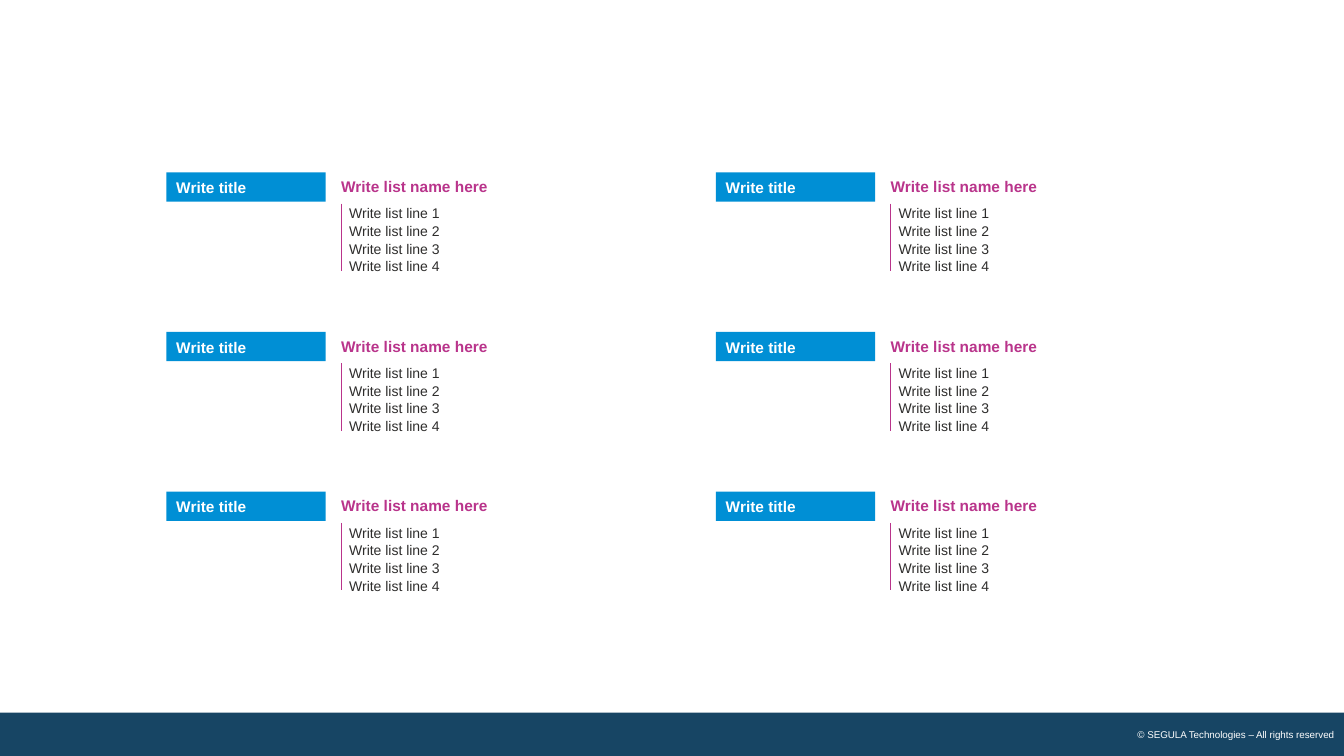
from itertools import product
from lxml.etree import SubElement
from pptx import Presentation
from pptx.dml.color import RGBColor
from pptx.enum.shapes import MSO_CONNECTOR as CONN, MSO_SHAPE as SHAPE
from pptx.enum.text import MSO_ANCHOR as ANCHOR, PP_ALIGN as ALIGN
from pptx.oxml.ns import qn
from pptx.util import Inches, Pt

WIDTH, HEIGHT = 13.33, 7.5
GRID_LEFT, GRID_TOP, GRID_WIDTH, GRID_HEIGHT = 1.65, 1.71, 10.9, 4.75
COLUMNS, ROWS = 2, 3
LINE_SPACING = 1.05
LIST_LINES = [f"Write list line {n}" for n in range(1, 5)]

WHITE = RGBColor(0xFF, 0xFF, 0xFF)
NAVY = RGBColor(0x17, 0x45, 0x64)
BLUE = RGBColor(0x00, 0x8F, 0xD5)
MAGENTA = RGBColor(0xB9, 0x34, 0x8B)
DARK = RGBColor(0x2E, 0x2D, 0x2C)


def add_run(p, text, size, color, bold=False):
    """Add one formatted run to a paragraph."""
    r = p.add_run()
    r.text = text
    r.font.name = "Arial"
    r.font.size = Pt(size)
    r.font.bold = bold
    r.font.color.rgb = color


def add_rect(slide, x, y, w, h, color):
    """Add a plain filled rectangle."""
    sp = slide.shapes.add_shape(SHAPE.RECTANGLE, Inches(x), Inches(y), Inches(w), Inches(h))
    sp.shadow.inherit = False
    sp.fill.solid()
    sp.fill.fore_color.rgb = color
    sp.line.fill.background()
    return sp


def add_text_frame(slide, x, y, w, h):
    """Add a wrapping text box and return its frame."""
    tf = slide.shapes.add_textbox(Inches(x), Inches(y), Inches(w), Inches(h)).text_frame
    tf.word_wrap = True
    return tf


def add_footer(slide, x, y, w, h):
    """Draw the footer band with its copyright line."""
    add_rect(slide, x, y, w, h, NAVY)
    tf = add_text_frame(slide, x + w - 2.47, y + 0.11, 2.47, 0.2)
    p = tf.paragraphs[0]
    p.alignment = ALIGN.RIGHT
    add_run(p, "© SEGULA Technologies – All rights reserved", 7, WHITE)


def add_title_bar(slide, x, y, w, h):
    """Draw the blue title bar of a block."""
    tf = add_rect(slide, x, y, w, h, BLUE).text_frame
    tf.vertical_anchor = ANCHOR.MIDDLE
    p = tf.paragraphs[0]
    p.alignment = ALIGN.LEFT
    p.line_spacing = LINE_SPACING
    add_run(p, "Write title", 11, WHITE, True)


def add_list(slide, x, y, w, h):
    """Write the list name and its indented lines beside a vertical rule."""
    tf = add_text_frame(slide, x, y, w, h)
    p = tf.paragraphs[0]
    p.space_after = Pt(6)
    p.line_spacing = LINE_SPACING
    add_run(p, "Write list name here", 11, MAGENTA, True)
    for line in LIST_LINES:
        p = tf.add_paragraph()
        p.line_spacing = LINE_SPACING
        p._p.get_or_add_pPr().set("marL", str(Inches(0.08)))
        add_run(p, line, 10, DARK)
    rule_x = Inches(x + 0.1)
    rule = slide.shapes.add_connector(CONN.STRAIGHT, rule_x, Inches(y + 0.32), rule_x, Inches(y + 0.99))
    rule.line.color.rgb = MAGENTA
    rule.line.width = Pt(1)
    SubElement(rule._element.spPr, qn("a:effectLst"))


def add_block(slide, x, y, w):
    """Place a title bar and its list side by side."""
    add_title_bar(slide, x, y, w * 0.29, 0.29)
    add_list(slide, x + w * 0.3, y - 0.01, 2.58, 1.04)


def main():
    """Build and save the slide."""
    prs = Presentation()
    prs.slide_width, prs.slide_height = Inches(WIDTH), Inches(HEIGHT)
    slide = prs.slides.add_slide(prs.slide_layouts[6])
    add_footer(slide, 0, HEIGHT - 0.43, WIDTH, 0.43)
    col_w, row_h = GRID_WIDTH / COLUMNS, GRID_HEIGHT / ROWS
    for col, row in product(range(COLUMNS), range(ROWS)):
        add_block(slide, GRID_LEFT + col * col_w, GRID_TOP + row * row_h, col_w)
    prs.save("out.pptx")


if __name__ == "__main__":
    main()
